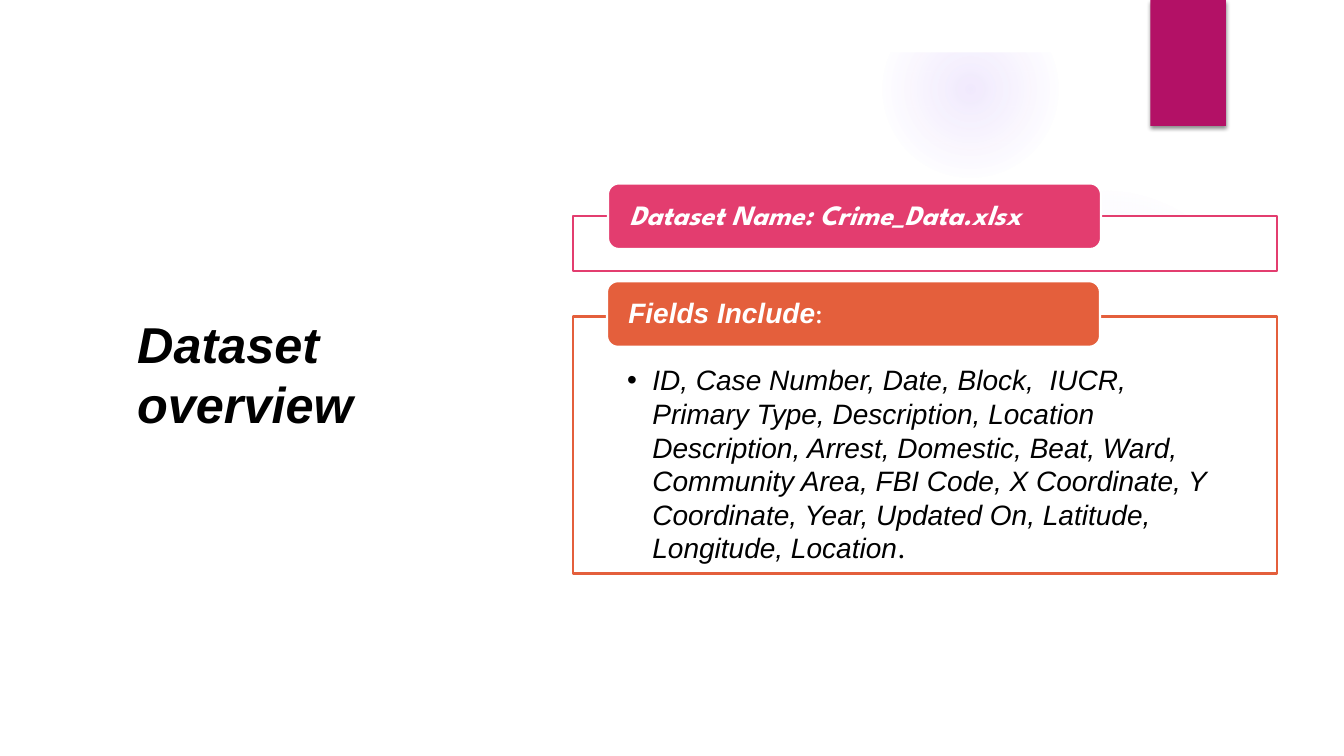
from dataclasses import dataclass

from lxml.etree import SubElement
from pptx import Presentation
from pptx.dml.color import RGBColor
from pptx.enum.shapes import MSO_SHAPE as Preset
from pptx.enum.text import MSO_ANCHOR as Anchor, MSO_AUTO_SIZE as AutoSize, PP_ALIGN as Align
from pptx.oxml import parse_xml
from pptx.oxml.ns import nsdecls, qn
from pptx.shapes.autoshape import Shape
from pptx.slide import Slide
from pptx.util import Emu, Pt

PX = 9144  # one px is a hundredth of an inch


@dataclass(frozen=True)
class Theme:
    white: str = "FFFFFF"
    black: str = "000000"
    tab: str = "B31166"
    glow: str = "9B6BF2"
    pink: str = "E33D6F"
    orange: str = "E45F3C"
    sans: str = "Arial"
    display: str = "League Spartan"
    title_size: int = 36
    text_size: int = 20
    line_width: float = 1.5
    spacing: float = 1.0
    label_spacing: float = 0.9


@dataclass(frozen=True)
class Area:
    left: int
    top: int
    width: int
    height: int


@dataclass(frozen=True)
class Span:
    text: str
    font: str
    bold: bool = False
    italic: bool = False


@dataclass(frozen=True)
class Glow:
    area: Area
    stops: tuple[tuple[int, int], ...]  # position and opacity, in percent


@dataclass(frozen=True)
class Section:
    color: str
    frame: Area
    label: Area
    heading: tuple[Span, ...]
    details: tuple[Span, ...] = ()


THEME = Theme()

GLOWS = [
    Glow(Area(941, 183, 308, 308), ((0, 7), (36, 6), (69, 0))),
    Glow(Area(875, 1, 175, 175), ((0, 14), (36, 7), (73, 0))),
]
PANEL = [(50, 204), (216, 224), (444, 241), (734, 248), (949, 241),
         (1116, 227), (1284, 204), (1284, 700), (50, 700)]
TOP_BAND = Area(0, 0, 1333, 52)
TAB = Area(1141, 0, 75, 125)
TITLE = Area(126, 106, 322, 529)

SECTIONS = [
    Section(THEME.pink, Area(568, 214, 699, 55), Area(603, 182, 489, 65),
            (Span("Dataset Name: Crime_Data.xlsx", THEME.display, True, True),)),
    Section(THEME.orange, Area(568, 314, 699, 255), Area(602, 279, 489, 65),
            (Span("Fields Include", THEME.sans, True, True), Span(":", THEME.display)),
            (Span("ID, Case Number, Date, Block,  IUCR, Primary Type, Description, "
                  "Location Description, Arrest, Domestic, Beat, Ward, Community Area, "
                  "FBI Code, X Coordinate, Y Coordinate, Year, Updated On, Latitude, "
                  "Longitude, Location", THEME.sans, italic=True),
             Span(".", THEME.display))),
]


def place(box: Shape, area: Area) -> None:
    box.left, box.top = Emu(area.left * PX), Emu(area.top * PX)
    box.width, box.height = Emu(area.width * PX), Emu(area.height * PX)


def paint(box: Shape, fill: str, line: str | None = None) -> None:
    box.fill.solid()
    box.fill.fore_color.rgb = RGBColor.from_string(fill)
    if line:
        box.line.color.rgb = RGBColor.from_string(line)
        box.line.width = Pt(THEME.line_width)
    else:
        box.line.fill.background()


def add_box(page: Slide, preset: Preset, area: Area, fill: str, line: str | None = None) -> Shape:
    box = page.shapes.add_shape(preset, 0, 0, 0, 0)
    place(box, area)
    box.shadow.inherit = False
    paint(box, fill, line)
    return box


def add_glow(page: Slide, glow: Glow) -> None:
    box = add_box(page, Preset.OVAL, glow.area, THEME.glow)
    stops = "".join(
        f'<a:gs pos="{position * 1000}"><a:srgbClr val="{THEME.glow}">'
        f'<a:alpha val="{opacity * 1000}"/></a:srgbClr></a:gs>'
        for position, opacity in glow.stops)
    gradient = parse_xml(
        f'<a:gradFill {nsdecls("a")}><a:gsLst>{stops}</a:gsLst><a:path path="circle">'
        '<a:fillToRect l="50000" t="50000" r="50000" b="50000"/></a:path></a:gradFill>')
    solid = box.element.spPr.find(qn("a:solidFill"))
    solid.getparent().replace(solid, gradient)


def add_panel(page: Slide) -> None:
    builder = page.shapes.build_freeform(*PANEL[0], scale=PX)
    builder.add_line_segments(PANEL[1:], close=True)
    panel = builder.convert_to_shape()
    panel.shadow.inherit = False
    paint(panel, THEME.white)


def add_tab(page: Slide) -> None:
    tab = add_box(page, Preset.RECTANGLE, TAB, THEME.tab)
    effects = tab.element.spPr.find(qn("a:effectLst"))
    shadow = SubElement(effects, qn("a:outerShdw"), blurRad=str(Pt(3)), dist=str(Pt(2)),
                        dir="5400000", rotWithShape="0")
    color = SubElement(shadow, qn("a:srgbClr"), val=THEME.black)
    SubElement(color, qn("a:alpha"), val="45000")


def write(box: Shape, spans: tuple[Span, ...], size: int, color: str, spacing: float,
          anchor: Anchor, insets: tuple[int, int, int, int]) -> None:
    frame = box.text_frame
    frame.word_wrap, frame.auto_size = True, AutoSize.NONE
    frame.vertical_anchor = anchor
    (frame.margin_left, frame.margin_top,
     frame.margin_right, frame.margin_bottom) = (Emu(inset * PX) for inset in insets)
    para = frame.paragraphs[0]
    para.alignment, para.line_spacing = Align.LEFT, spacing
    para.space_before = Pt(0)
    para.font.size = Pt(size)
    para.font.color.rgb = RGBColor.from_string(color)
    for span in spans:
        run = para.add_run()
        run.text = span.text
        run.font.name, run.font.bold, run.font.italic = span.font, span.bold, span.italic


def add_section(page: Slide, section: Section, body: Shape) -> None:
    if section.details:
        # The list placeholder is brought in front of the backdrop
        body.element.getparent().append(body.element)
        place(body, section.frame)
        paint(body, THEME.white, section.color)
        write(body, section.details, THEME.text_size, THEME.black, THEME.spacing,
              Anchor.TOP, (54, 46, 54, 16))
        layout = body.text_frame.paragraphs[0]._p.get_or_add_pPr()
        layout.set("marL", str(25 * PX))
        layout.set("indent", str(-25 * PX))
        SubElement(layout, qn("a:buFont"), typeface=THEME.sans)
        SubElement(layout, qn("a:buChar"), char="•")
        defaults = layout.find(qn("a:defRPr"))
        if defaults is not None:
            layout.append(defaults)
    else:
        add_box(page, Preset.RECTANGLE, section.frame, THEME.white, section.color)
    label = add_box(page, Preset.ROUNDED_RECTANGLE, section.label, section.color, THEME.white)
    write(label, section.heading, THEME.text_size, THEME.white, THEME.label_spacing,
          Anchor.MIDDLE, (18, 0, 18, 0))


def main() -> None:
    deck = Presentation()
    deck.slide_width, deck.slide_height = Emu(1333 * PX), Emu(750 * PX)
    page = deck.slides.add_slide(deck.slide_layouts[1])
    title, body = page.placeholders

    # Backdrop
    for glow in GLOWS:
        add_glow(page, glow)
    add_panel(page)
    add_box(page, Preset.RECTANGLE, TOP_BAND, THEME.white)
    add_tab(page)

    # Title
    title.element.getparent().append(title.element)
    place(title, TITLE)
    write(title, (Span("Dataset overview", THEME.sans, True, True),), THEME.title_size,
          THEME.black, THEME.spacing, Anchor.MIDDLE, (10, 5, 10, 5))

    # Dataset sections
    for section in SECTIONS:
        add_section(page, section, body)

    deck.save("out.pptx")


if __name__ == "__main__":
    main()
